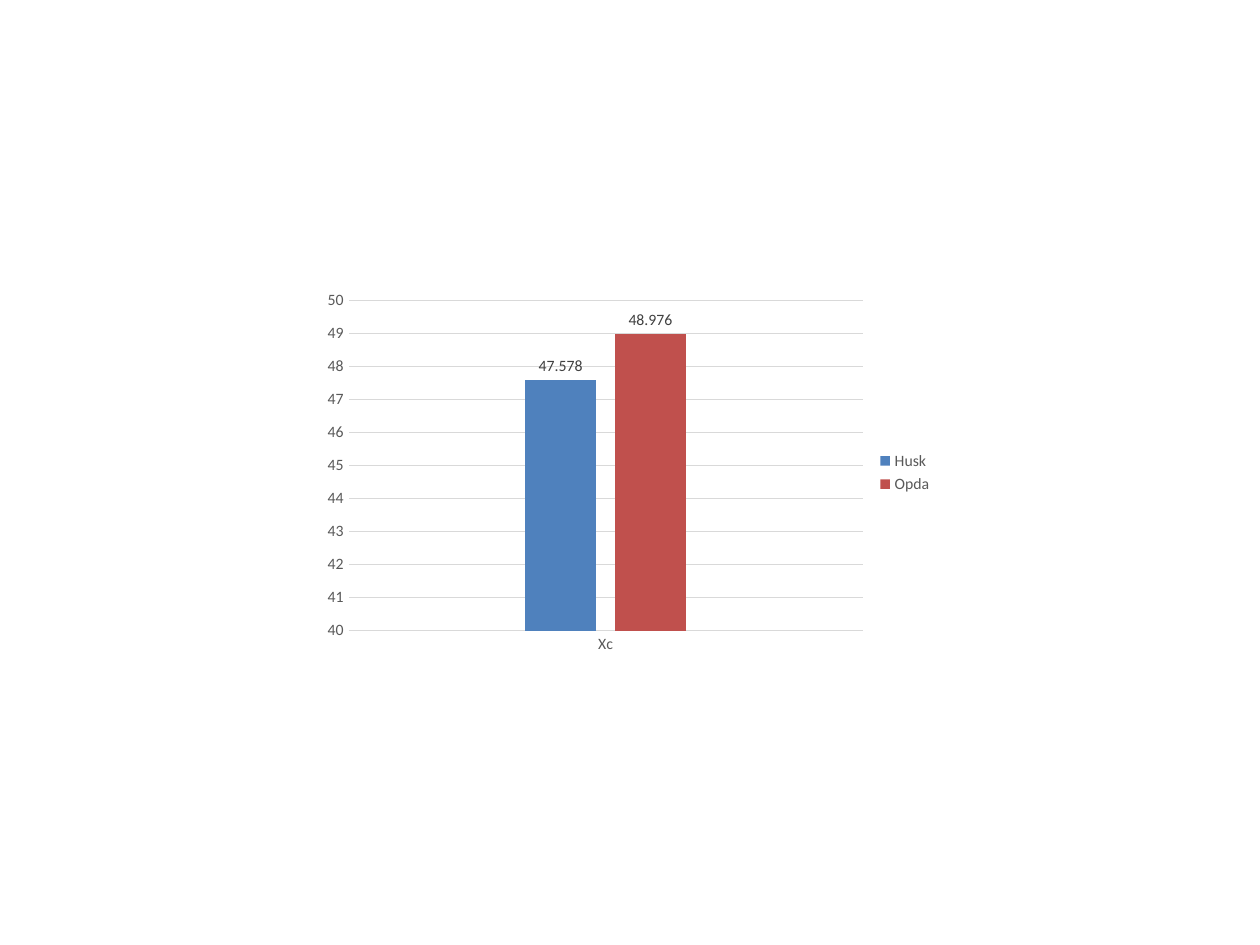
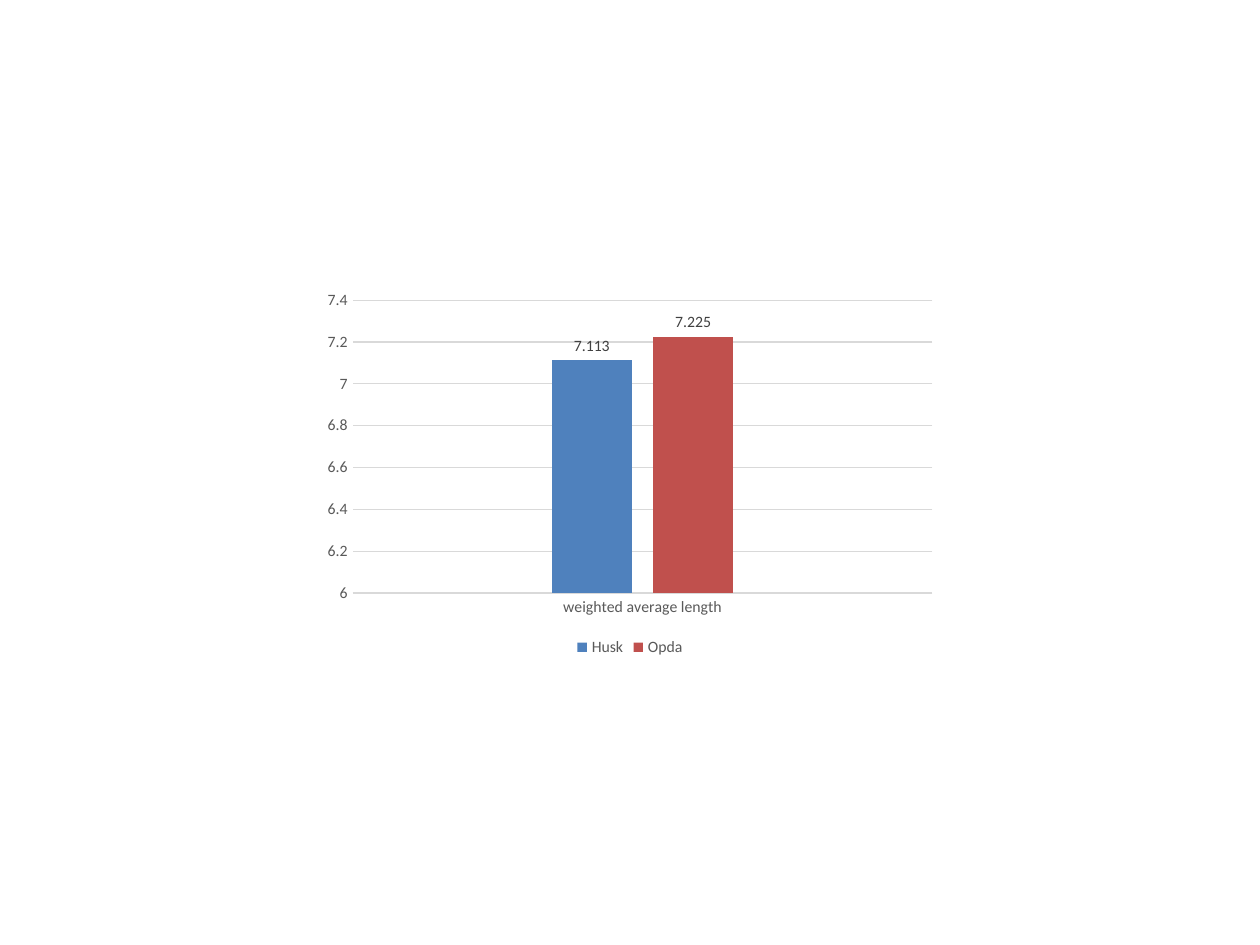
from dataclasses import dataclass

from pptx import Presentation
from pptx import util as u
from pptx.chart import data as cd
from pptx.dml import color as co
from pptx.enum import chart as ec


@dataclass(frozen=True)
class Theme:
    font: str = "Calibri"
    base: float = 10
    small: float = 9
    rule: float = 0.75
    black: str = "000000"
    grey: str = "595959"
    dark: str = "404040"
    pale: str = "D9D9D9"
    white: str = "FFFFFF"
    bars: tuple[str, ...] = ("4F81BD", "C0504D")


@dataclass(frozen=True)
class Graph:
    label: str
    scores: tuple[float, ...]
    low: float
    high: float
    step: float
    legend: ec.XL_LEGEND_POSITION


THEME = Theme()
WIDE, HIGH = u.Inches(10), u.Inches(7.5)
# Chart frame as shares of the slide: left, top, width, height
FRAME = (0.25, 0.3, 0.5, 0.4)
TEAMS = ("Husk", "Opda")
GRAPHS = (
    Graph("Xc", (47.578, 48.976), 40, 50, 1, ec.XL_LEGEND_POSITION.RIGHT),
    Graph("weighted average length", (7.113, 7.225), 6, 7.4, 0.2,
          ec.XL_LEGEND_POSITION.BOTTOM),
)


def tint(code: str) -> co.RGBColor:
    return co.RGBColor.from_string(code)


def style(font, size: float, code: str) -> None:
    font.name = THEME.font
    font.size = u.Pt(size)
    font.bold = False
    font.color.rgb = tint(code)


def rule(line) -> None:
    line.color.rgb = tint(THEME.pale)
    line.width = u.Pt(THEME.rule)


def style_axes(chart, graph: Graph) -> None:
    for axis in (chart.category_axis, chart.value_axis):
        axis.major_tick_mark = ec.XL_TICK_MARK.NONE
        axis.minor_tick_mark = ec.XL_TICK_MARK.NONE
        style(axis.tick_labels.font, THEME.small, THEME.grey)
    rule(chart.category_axis.format.line)
    scale = chart.value_axis
    scale.minimum_scale = graph.low
    scale.maximum_scale = graph.high
    scale.major_unit = graph.step
    scale.format.line.fill.background()
    scale.has_major_gridlines = True
    rule(scale.major_gridlines.format.line)


def style_bars(plot) -> None:
    plot.gap_width = 500
    plot.overlap = -27
    plot.vary_by_categories = False
    for bar, code in zip(plot.series, THEME.bars):
        bar.invert_if_negative = False
        bar.format.fill.solid()
        bar.format.fill.fore_color.rgb = tint(code)
        tags = bar.data_labels
        tags.show_value = True
        tags.position = ec.XL_LABEL_POSITION.OUTSIDE_END
        style(tags.font, THEME.small, THEME.dark)


def add_graph(slide, graph: Graph) -> None:
    data = cd.CategoryChartData()
    data.categories = [graph.label]
    for team, score in zip(TEAMS, graph.scores):
        data.add_series(team, [score])
    left, top, wide, high = FRAME
    chart = slide.shapes.add_chart(
        ec.XL_CHART_TYPE.COLUMN_CLUSTERED,
        int(left * WIDE), int(top * HIGH), int(wide * WIDE), int(high * HIGH),
        data).chart
    chart.has_title = False
    style(chart.font, THEME.base, THEME.black)
    style_axes(chart, graph)
    style_bars(chart.plots[0])
    chart.has_legend = True
    chart.legend.position = graph.legend
    chart.legend.include_in_layout = False
    style(chart.legend.font, THEME.small, THEME.grey)


def main() -> None:
    deck = Presentation()
    deck.slide_width, deck.slide_height = WIDE, HIGH
    for graph in GRAPHS:
        slide = deck.slides.add_slide(deck.slide_layouts[6])
        slide.background.fill.solid()
        slide.background.fill.fore_color.rgb = tint(THEME.white)
        add_graph(slide, graph)
    deck.save("out.pptx")


if __name__ == "__main__":
    main()
